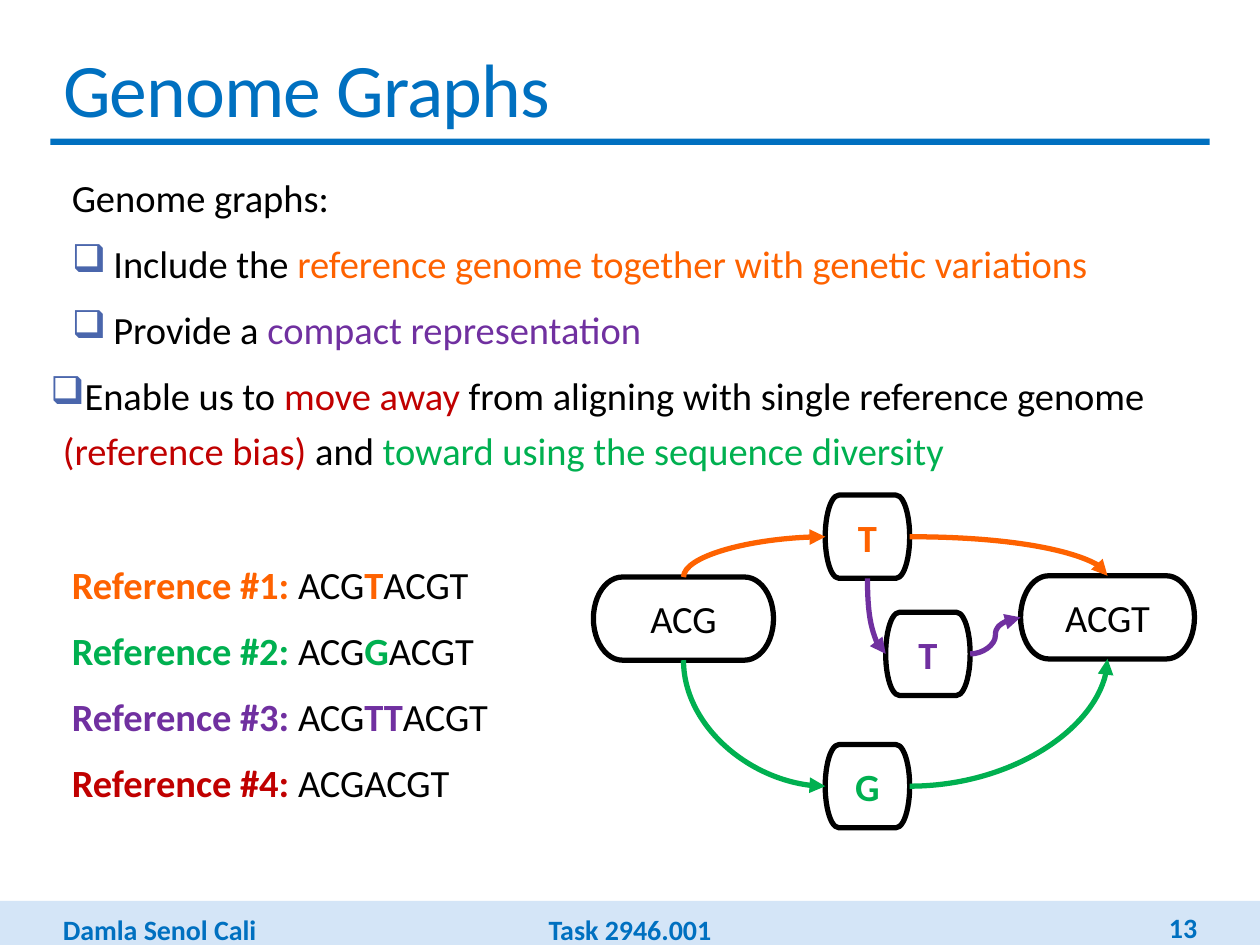
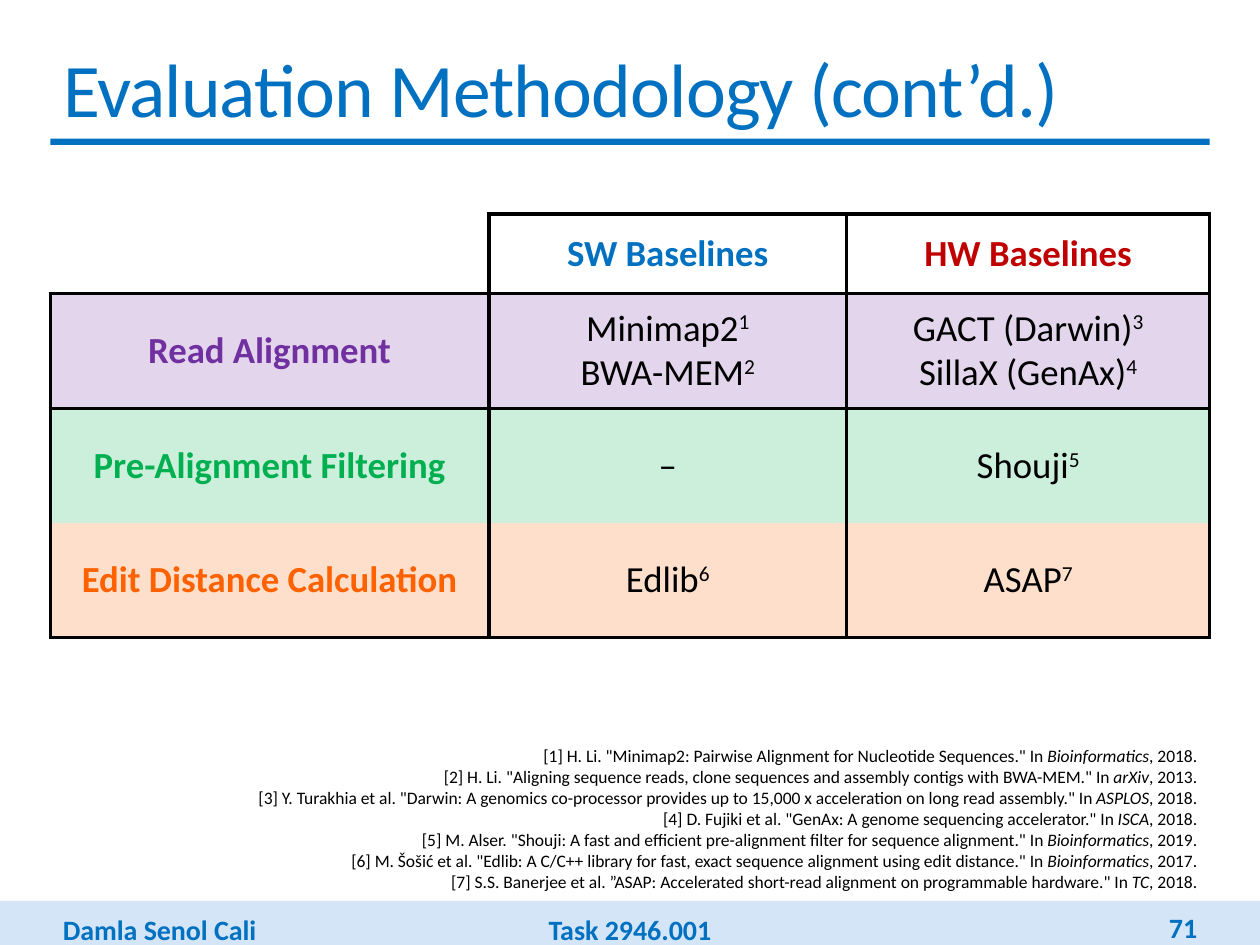
"""Build two slides: genome graphs and the evaluation baselines."""
from lxml import etree
from pptx import Presentation
from pptx import util as u
from pptx.dml.color import RGBColor
from pptx.enum import shapes, text
from pptx.oxml.ns import qn

COLORS = {
    "black": "000000", "blue": "0070C0", "band": "D4E5F7", "bullet": "4A66AC",
    "orange": "FE6200", "green": "00B050", "purple": "7030A0", "red": "C00000",
}
FONT = "Calibri"
LEFT, WIDTH = 0.4, 9.2


def write(paragraph, pieces, size, align=text.PP_ALIGN.LEFT):
    """Add (text, colour, style) runs; styles are b, i and ^ for superscript."""
    paragraph.alignment = align
    for words, color, style in pieces:
        run = paragraph.add_run()
        run.text = words
        run.font.name, run.font.size = FONT, u.Pt(size)
        run.font.bold, run.font.italic = "b" in style, "i" in style
        run.font.color.rgb = RGBColor.from_string(COLORS[color])
        if "^" in style:
            run.font._element.set("baseline", "30000")


def add_frame(slide, left, top, width, height, inset=0.1):
    """Add a wrapping text box and return its text frame."""
    box = slide.shapes.add_textbox(*map(u.Inches, (left, top, width, height)))
    frame = box.text_frame
    frame.word_wrap = True
    frame.margin_left = frame.margin_right = u.Inches(inset)
    return frame


prs = Presentation()
prs.slide_width, prs.slide_height = u.Inches(10), u.Inches(7.5)
layout = prs.slide_layouts[5]
for holder in list(layout.placeholders):
    if holder.placeholder_format.type != shapes.PP_PLACEHOLDER.TITLE:
        layout.shapes.element.remove(holder.element)

slides = []
for heading, number in (("Genome Graphs", "13"), ("Evaluation Methodology (cont’d.)", "71")):
    slide = prs.slides.add_slide(layout)
    title = slide.shapes.title
    title.left, title.top, title.width, title.height = map(u.Inches, (LEFT, 0.28, WIDTH, 0.82))
    title.text_frame.vertical_anchor = text.MSO_ANCHOR.MIDDLE
    title.text_frame.auto_size = text.MSO_AUTO_SIZE.NONE
    write(title.text_frame.paragraphs[0], [(heading, "blue", "")], 43.2)
    title.text_frame.paragraphs[0].runs[0].font._element.set("spc", "-50")
    slides.append((slide, number))

graph_slide, baseline_slide = (slide for slide, number in slides)

for left, top, width, height, color in ((0, 7.15, 10, 0.35, "band"), (LEFT, 1.1, WIDTH, 0.05, "blue")):
    band = graph_slide.shapes.add_shape(
        shapes.MSO_SHAPE.RECTANGLE, *map(u.Inches, (left, top, width, height)))
    band.shadow.inherit = False
    band.fill.solid()
    band.fill.fore_color.rgb = RGBColor.from_string(COLORS[color])
    band.line.fill.background()
    layout.shapes.element.append(band.element)
for words, left, width, align in (
    ("Damla Senol Cali", LEFT, 2.42, text.PP_ALIGN.LEFT),
    ("Task 2946.001", 4.01, 1.98, text.PP_ALIGN.CENTER),
):
    footer = add_frame(graph_slide, left, 7.19, width, 0.37)
    write(footer.paragraphs[0], [(words, "blue", "b")], 16, align)
    layout.shapes.element.append(graph_slide.shapes[-1].element)
for slide, number in slides:
    page = add_frame(slide, 8.22, 7.21, 1.38, 0.3)
    page.vertical_anchor = text.MSO_ANCHOR.MIDDLE
    write(page.paragraphs[0], [(number, "blue", "b")], 16, text.PP_ALIGN.RIGHT)

PLAIN, BULLET, TIGHT = (0.17, 0), (0.5, -0.33), (0.1, -0.1)
points = [
    (PLAIN, [("Genome graphs:", "black", "")]),
    (BULLET, [("Include the ", "black", ""),
              ("reference genome together with genetic variations", "orange", "")]),
    (BULLET, [("Provide a ", "black", ""), ("compact representation", "purple", "")]),
    (TIGHT, [("Enable us to ", "black", ""), ("move away ", "red", ""),
             ("from aligning with single reference genome ", "black", ""),
             ("(reference bias) ", "red", ""), ("and ", "black", ""),
             ("toward using the sequence diversity", "green", "")]),
]
sequences = []
for index, (color, variant) in enumerate(
        (("orange", "T"), ("green", "G"), ("purple", "TT"), ("red", "")), 1):
    pieces = [(f"Reference #{index}: ", color, "b"), ("ACG", "black", "")]
    if variant:
        pieces.append((variant, color, "b"))
    sequences.append((PLAIN, pieces + [("ACGT", "black", "")]))

for top, width, height, lines in ((1.26, WIDTH, 2.7, points), (4.33, 3.88, 2.55, sequences)):
    frame = add_frame(graph_slide, LEFT, top, width, height, inset=0)
    for index, ((margin, indent), pieces) in enumerate(lines):
        paragraph = frame.add_paragraph() if index else frame.paragraphs[0]
        props = paragraph._p.get_or_add_pPr()
        props.set("marL", str(u.Inches(margin)))
        props.set("indent", str(u.Inches(indent)))
        if indent:
            tint = etree.SubElement(props, qn("a:buClr"))
            etree.SubElement(tint, qn("a:srgbClr"), val=COLORS["bullet"])
            etree.SubElement(props, qn("a:buChar"), char="❑")
        paragraph.line_spacing, paragraph.space_after = 1.2, u.Pt(6)
        write(paragraph, pieces, 22)

nodes = {}
for key, words, left, top, width, color, style in (
    ("start", "ACG", 4.71, 4.58, 1.43, "black", ""),
    ("end", "ACGT", 8.1, 4.57, 1.38, "black", ""),
    ("first T", "T", 6.55, 3.93, 0.67, "orange", "b"),
    ("G", "G", 6.55, 5.91, 0.67, "green", "b"),
    ("second T", "T", 7.03, 4.86, 0.67, "purple", "b"),
):
    node = graph_slide.shapes.add_shape(
        shapes.MSO_SHAPE.FLOWCHART_TERMINATOR, *map(u.Inches, (left, top, width, 0.66)))
    node.shadow.inherit = False
    node.fill.background()
    node.line.color.rgb = RGBColor.from_string(COLORS["black"])
    node.line.width = u.Pt(3)
    node.text_frame.word_wrap = False
    node.text_frame.vertical_anchor = text.MSO_ANCHOR.MIDDLE
    write(node.text_frame.paragraphs[0], [(words, color, style)], 22, text.PP_ALIGN.CENTER)
    nodes[key] = node

TOP, WEST, BOTTOM, EAST = range(4)
for source, exit_side, target, entry_side, color in (
    ("start", TOP, "first T", WEST, "orange"),
    ("start", BOTTOM, "G", WEST, "green"),
    ("first T", EAST, "end", TOP, "orange"),
    ("G", EAST, "end", BOTTOM, "green"),
    ("first T", BOTTOM, "second T", WEST, "purple"),
    ("second T", EAST, "end", WEST, "purple"),
):
    edge = graph_slide.shapes.add_connector(shapes.MSO_CONNECTOR.CURVE, 0, 0, 0, 0)
    edge.begin_connect(nodes[source], exit_side)
    edge.end_connect(nodes[target], entry_side)
    props = edge.element.spPr
    if (exit_side, entry_side) != (EAST, WEST):
        props.find(qn("a:prstGeom")).set("prst", "curvedConnector2")
    if exit_side in (TOP, BOTTOM):
        run, rise = edge.end_x - edge.begin_x, edge.end_y - edge.begin_y
        middle_x, middle_y = edge.begin_x + run // 2, edge.begin_y + rise // 2
        edge.begin_x, edge.end_x = middle_x + rise // 2, middle_x - rise // 2
        edge.begin_y, edge.end_y = middle_y - run // 2, middle_y + run // 2
        props.find(qn("a:xfrm")).set("rot", str(270 * 60000))
    edge.line.color.rgb = RGBColor.from_string(COLORS[color])
    edge.line.width = u.Pt(3)
    etree.SubElement(props.find(qn("a:ln")), qn("a:tailEnd"), type="triangle")
    etree.SubElement(props, qn("a:effectLst"))

baselines = [
    (None, "", [("SW Baselines", "blue")], [("HW Baselines", "red")]),
    ("purple", "Read Alignment", [("Minimap2", "1"), ("BWA-MEM", "2")],
     [("GACT (Darwin)", "3"), ("SillaX (GenAx)", "4")]),
    ("green", "Pre-Alignment Filtering", [("–", "")], [("Shouji", "5")]),
    ("orange", "Edit Distance Calculation", [("Edlib", "6")], [("ASAP", "7")]),
]
table = baseline_slide.shapes.add_table(
    4, 3, *map(u.Inches, (LEFT, 1.7, WIDTH, 3.36))).table
table.first_row = table.horz_banding = False
table._tbl.tblPr.find(qn("a:tableStyleId")).text = "{2D5ABB26-0587-4C30-8999-92F81FD0307C}"
for column, width in zip(table.columns, (3.48, 2.84, 2.88)):
    column.width = u.Inches(width)
for row, height in zip(table.rows, (0.63, 0.91, 0.91, 0.91)):
    row.height = u.Inches(height)

for row, (color, task, *tools) in enumerate(baselines):
    for col in range(3):
        cell = table.cell(row, col)
        cell.vertical_anchor = text.MSO_ANCHOR.MIDDLE
        if color:
            cell.fill.solid()
            cell.fill.fore_color.rgb = RGBColor.from_string(COLORS[color])
            shade = cell._tc.tcPr.find(".//" + qn("a:srgbClr"))
            etree.SubElement(shade, qn("a:alpha"), val="20000")
        else:
            cell.fill.background()

        if col == 0:
            lines = [[(task, color, "b")]] if task else []
        elif row == 0:
            lines = [[(*tools[col - 1][0], "b")]]
        else:
            lines = [[(tool, "black", "")] + ([(mark, "black", "^")] if mark else [])
                     for tool, mark in tools[col - 1]]
        for index, pieces in enumerate(lines):
            paragraph = cell.text_frame.add_paragraph() if index else cell.text_frame.paragraphs[0]
            write(paragraph, pieces, 21, text.PP_ALIGN.CENTER)

        corner = row == col == 0
        drawn = {"lnL": not corner, "lnR": True,
                 "lnT": row == 1 or (row == 0 and not corner), "lnB": row in (0, 3)}
        sides = [side for side, shown in drawn.items() if shown]
        for index, side in enumerate(sides):
            border = etree.Element(qn("a:" + side), w=str(u.Pt(2.25)))
            ink = etree.SubElement(border, qn("a:solidFill"))
            etree.SubElement(ink, qn("a:srgbClr"), val=COLORS["black"])
            cell._tc.tcPr.insert(index, border)

citations = [
    ('H. Li. "Minimap2: Pairwise Alignment for Nucleotide Sequences."', "Bioinformatics", 2018),
    ('H. Li. "Aligning sequence reads, clone sequences and assembly contigs with BWA-MEM."',
     "arXiv", 2013),
    ('Y. Turakhia et al. "Darwin: A genomics co-processor provides up to 15,000 x acceleration '
     'on long read assembly."', "ASPLOS", 2018),
    ('D. Fujiki et al. "GenAx: A genome sequencing accelerator."', "ISCA", 2018),
    ('M. Alser. "Shouji: A fast and efficient pre-alignment filter for sequence alignment."',
     "Bioinformatics", 2019),
    ('M. Šošić et al. "Edlib: A C/C++ library for fast, exact sequence alignment using edit '
     'distance."', "Bioinformatics", 2017),
    ('S.S. Banerjee et al. ”ASAP: Accelerated short-read alignment on programmable hardware."',
     "TC", 2018),
]
references = add_frame(baseline_slide, LEFT, 5.86, WIDTH, 1.28)
for index, (work, venue, year) in enumerate(citations):
    paragraph = references.add_paragraph() if index else references.paragraphs[0]
    pieces = [(f"[{index + 1}] {work} In ", "black", ""), (venue, "black", "i"),
              (f", {year}.", "black", "")]
    write(paragraph, pieces, 10, text.PP_ALIGN.RIGHT)

prs.save("out.pptx")
